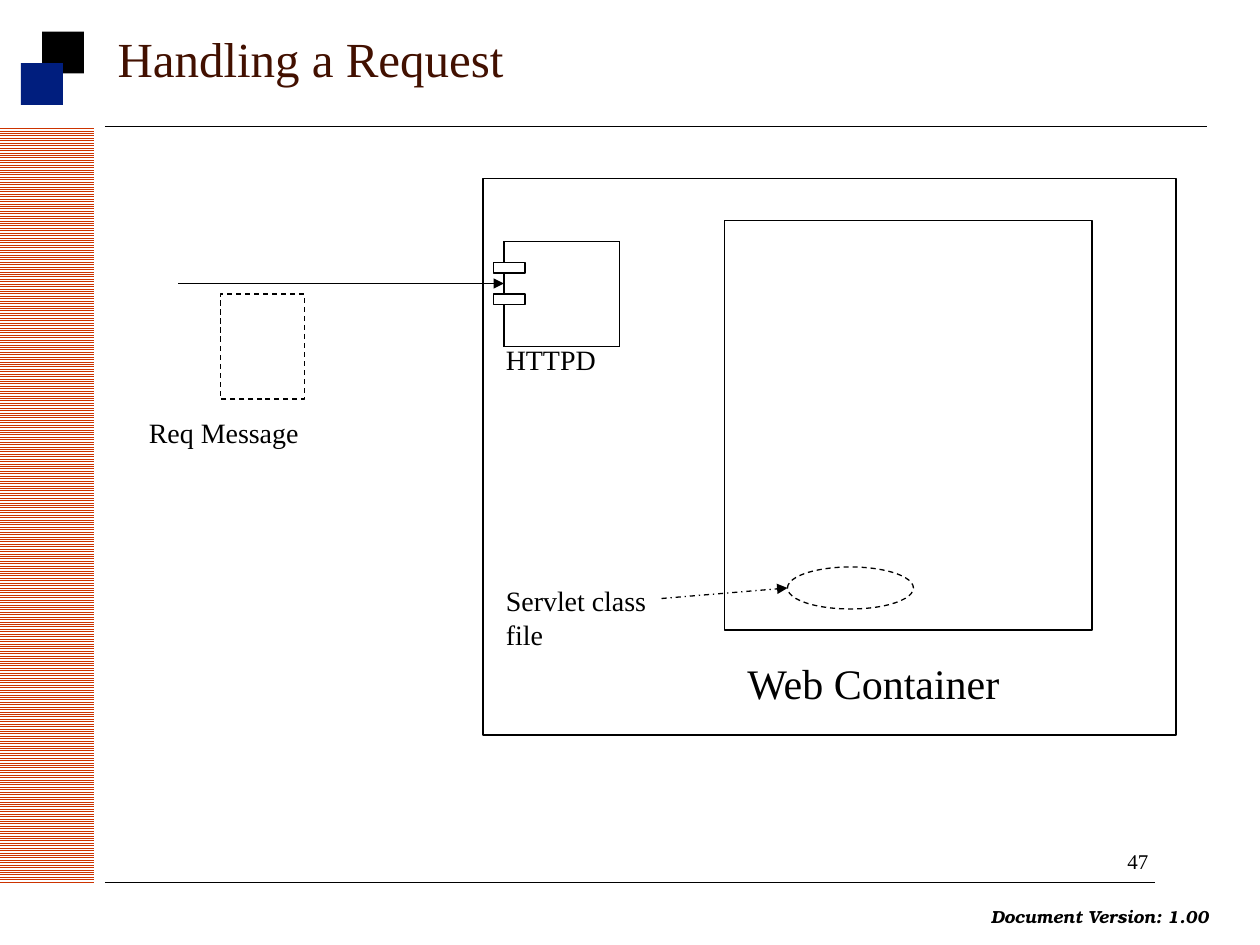
import dataclasses

import lxml.etree
import pptx
import pptx.dml.color
import pptx.enum.dml
import pptx.enum.shapes
import pptx.enum.text
import pptx.oxml.ns
import pptx.util

PX = pptx.util.Inches(1) // 120  # 120 px to the inch
SHAPE = pptx.enum.shapes.MSO_SHAPE
DASH = pptx.enum.dml.MSO_LINE


@dataclasses.dataclass(frozen=True)
class Theme:
    ink: str = "000000"
    title: str = "421000"
    blue: str = "001E7E"
    stripe: str = "CC3300"
    paper: str = "FFFFFF"
    font: str = "Times New Roman"
    version_font: str = "TeX Gyre Bonum"
    title_size: int = 28
    container_size: int = 24
    label_size: int = 16
    number_size: int = 12
    version_size: int = 10
    line: float = 0.75
    rule: float = 0.25


THEME = Theme()


def rgb(value):
    return pptx.dml.color.RGBColor.from_string(value)


def emu(*lengths):
    return [length * PX for length in lengths]


def style_line(line, width=THEME.line, dash=None):
    line.color.rgb = rgb(THEME.ink)
    line.width = pptx.util.Pt(width)
    if dash is not None:
        line.dash_style = dash


def add_block(page, box, color):
    block = page.shapes.add_shape(SHAPE.RECTANGLE, *emu(*box))
    block.shadow.inherit = False
    block.fill.solid()
    block.fill.fore_color.rgb = rgb(color)
    block.line.fill.background()
    return block


def add_outline(page, box, kind=SHAPE.RECTANGLE, dash=None):
    outline = page.shapes.add_shape(kind, *emu(*box))
    outline.shadow.inherit = False
    outline.fill.background()
    style_line(outline.line, dash=dash)


def add_line(page, start, end, width=THEME.line, dash=None, arrow=False):
    line = page.shapes.add_connector(
        pptx.enum.shapes.MSO_CONNECTOR.STRAIGHT, *emu(*start, *end))
    style_line(line.line, width, dash)
    properties = line._element.spPr
    if arrow:
        outline = properties.find(pptx.oxml.ns.qn("a:ln"))
        lxml.etree.SubElement(outline, pptx.oxml.ns.qn("a:tailEnd"), type="triangle")
    lxml.etree.SubElement(properties, pptx.oxml.ns.qn("a:effectLst"))


def format_text(frame, text, size, color=THEME.ink, font=THEME.font):
    frame.text = text
    span = frame.paragraphs[0].runs[0]
    span.font.name = font
    span.font.size = pptx.util.Pt(size)
    span.font.color.rgb = rgb(color)
    return span


def add_label(page, box, text, size=THEME.label_size, wrap=True, font=THEME.font):
    label = page.shapes.add_textbox(*emu(*box))
    label.text_frame.word_wrap = wrap
    return format_text(label.text_frame, text, size, font=font)


def add_title(page, box, text):
    title = page.shapes.title
    title.left, title.top, title.width, title.height = emu(*box)
    frame = title.text_frame
    frame.word_wrap = True
    frame.auto_size = pptx.enum.text.MSO_AUTO_SIZE.NONE
    frame.vertical_anchor = pptx.enum.text.MSO_ANCHOR.MIDDLE
    format_text(frame, text, THEME.title_size, THEME.title)
    frame.paragraphs[0].alignment = pptx.enum.text.PP_ALIGN.LEFT


def add_side_band(page, box):
    """Striped band: a wide bar turned upright about the centre of the box."""
    left, top, width, height = box
    shift = (height - width) // 2
    band = add_block(page, (left - shift, top + shift, height, width), THEME.stripe)
    band.rotation = 270
    band.fill.patterned()
    band.fill.pattern = pptx.enum.dml.MSO_PATTERN.LIGHT_HORIZONTAL
    band.fill.fore_color.rgb = rgb(THEME.stripe)
    band.fill.back_color.rgb = rgb(THEME.paper)


def add_emblem(page, box):
    left, top, _, _ = box
    add_block(page, (left + 20, top, 40, 40), THEME.ink)
    add_block(page, (left, top + 30, 40, 40), THEME.blue)


def add_footer(page, box):
    left, top, width, _ = box
    add_line(page, (left, top), (left + width, top), THEME.rule)
    add_label(page, (left + 962, top - 38, 48, 36), "47", THEME.number_size, wrap=False)
    version = add_label(page, (left + 832, top + 17, 233, 32), "Document Version: 1.00",
                        THEME.version_size, wrap=False, font=THEME.version_font)
    version.font.bold = version.font.italic = True


def add_component(page, box, name):
    """Component symbol: two tabs interrupt its left side."""
    left, top, width, height = box
    right, bottom = left + width, top + height
    tabs = [top + 20, top + 50]
    tab_height = 10
    corners = [(left, top), (right, top), (right, bottom), (left, bottom)]
    for start, end in zip(corners, corners[1:]):
        add_line(page, start, end)
    gap_starts = [top] + [tab + tab_height for tab in tabs]
    for start, end in zip(gap_starts, tabs + [bottom]):
        add_line(page, (left, start), (left, end))
    for tab in tabs:
        add_outline(page, (left - 10, tab, 30, tab_height))
    add_label(page, (left - 10, bottom - 10, 170, 44), name)


def add_server(page, box):
    left, top, width, height = box
    add_outline(page, box)
    add_component(page, (left + 20, top + 60, 110, 100), "HTTPD")

    # Web container with the servlet inside
    add_outline(page, (left + 230, top + 40, 350, 390))
    add_label(page, (left + 240, top + 450, 320, 60), "Web Container",
              THEME.container_size)
    add_outline(page, (left + 290, top + 370, 120, 40), SHAPE.OVAL, DASH.DASH)
    add_label(page, (left + 10, top + 380, 190, 77), "Servlet class file")
    add_line(page, (left + 170, top + 400), (left + 290, top + 390),
             dash=DASH.DASH_DOT, arrow=True)


def add_request(page, box):
    left, top, width, _ = box
    add_line(page, (left + 40, top), (left + width, top), arrow=True)
    add_outline(page, (left + 80, top + 10, 80, 100), dash=DASH.DASH)
    add_label(page, (left, top + 120, 240, 44), "Req Message")


def main():
    deck = pptx.Presentation()
    deck.slide_width, deck.slide_height = emu(1200, 900)
    page = deck.slides.add_slide(deck.slide_layouts[5])

    # Page frame
    add_side_band(page, (0, 120, 90, 720))
    add_line(page, (100, 120), (1150, 120), THEME.rule)
    add_emblem(page, (20, 30, 60, 70))
    add_footer(page, (100, 840, 1000, 60))
    add_title(page, (100, 0, 1080, 110), "Handling a Request")

    # Diagram
    add_server(page, (460, 170, 660, 530))
    add_request(page, (130, 270, 350, 164))

    deck.save("out.pptx")


if __name__ == "__main__":
    main()
